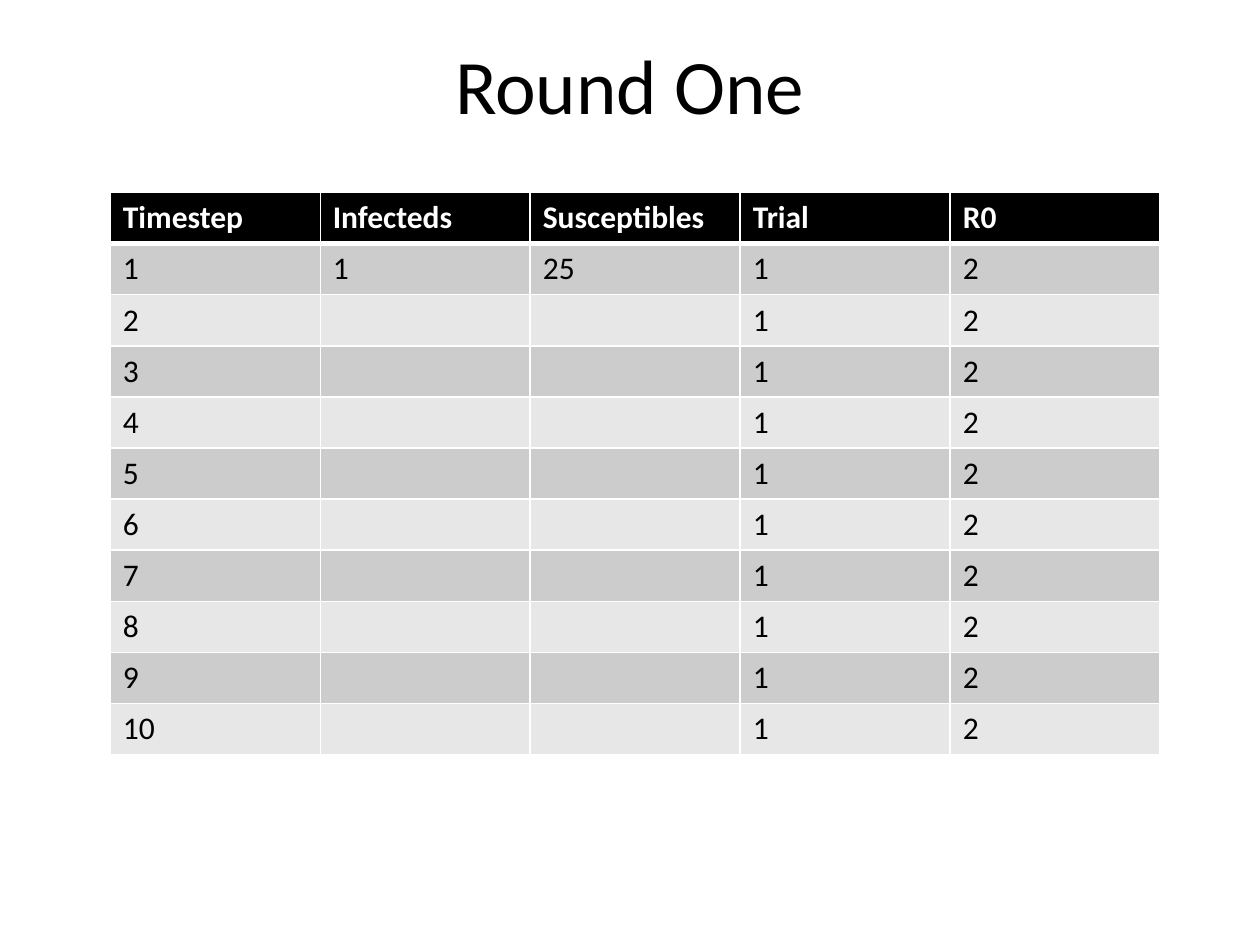
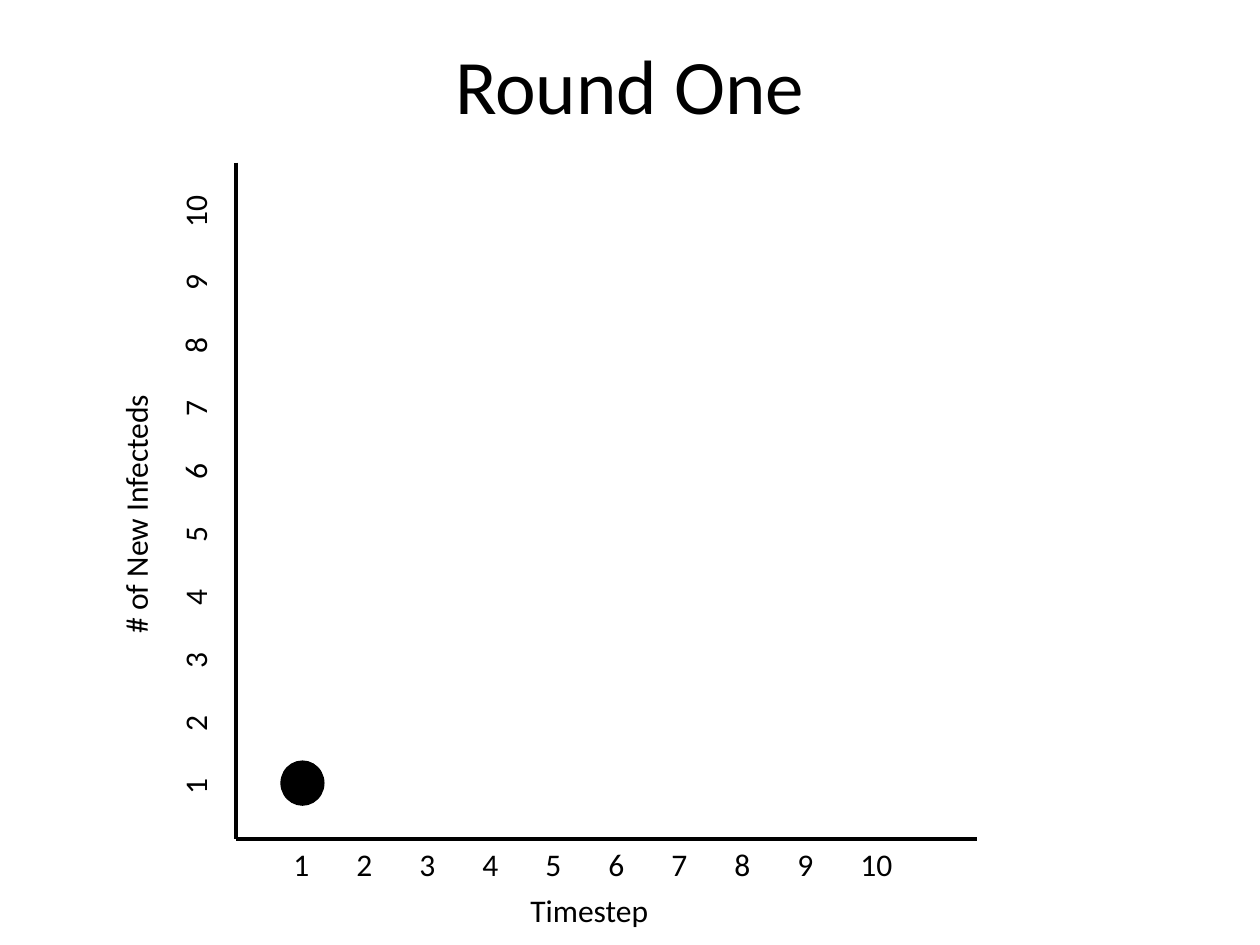
"""Build the Round One slides: a blank results table and a plot of new infections."""
from lxml.etree import SubElement
from pptx import Presentation
from pptx.dml.color import RGBColor
from pptx.enum.shapes import MSO_CONNECTOR as Connector, MSO_SHAPE as Shape
from pptx.enum.text import MSO_ANCHOR as Anchor, PP_ALIGN as Align
from pptx.oxml.ns import qn
from pptx.util import Pt

BLACK = RGBColor(0x00, 0x00, 0x00)
WHITE = RGBColor(0xFF, 0xFF, 0xFF)
BANDS = RGBColor(0xCC, 0xCC, 0xCC), RGBColor(0xE7, 0xE7, 0xE7)
BODY = {"name": "Calibri", "size": Pt(18), "bold": False}
HEADER = {**BODY, "bold": True}
TITLE = {**BODY, "size": Pt(44)}
TAB_STEP = 36


class Deck:
    def __init__(self):
        self.presentation = Presentation()
        self.presentation.slide_width = Pt(720)
        self.presentation.slide_height = Pt(540)
        self.slide = None

    def add_slide(self, title):
        self.slide = self.presentation.slides.add_slide(self.presentation.slide_layouts[6])
        frame = self.text(title, 36, 3, 648, 90, TITLE)
        frame.vertical_anchor = Anchor.MIDDLE
        frame.paragraphs[0].alignment = Align.CENTER

    def style(self, paragraph, look, color=BLACK):
        for run in paragraph.runs:
            for key, value in look.items():
                setattr(run.font, key, value)
            run.font.color.rgb = color

    def text(self, words, left, top, width, height, look=BODY, rotation=0):
        box = self.slide.shapes.add_textbox(Pt(left), Pt(top), Pt(width), Pt(height))
        box.rotation = rotation
        frame = box.text_frame
        frame.word_wrap = True
        frame.text = words
        self.style(frame.paragraphs[0], look)
        return frame

    def scale(self, count, left, top, width, height, rotation=0):
        numbers = "\t".join(str(n) for n in range(1, count + 1))
        frame = self.text(numbers, left, top, width, height, rotation=rotation)
        tabs = SubElement(frame.paragraphs[0]._p.get_or_add_pPr(), qn("a:tabLst"))
        for stop in range(1, count):
            SubElement(tabs, qn("a:tab"), pos=str(int(Pt(TAB_STEP * stop))), algn="l")

    def axis(self, x1, y1, x2, y2):
        line = self.slide.shapes.add_connector(
            Connector.STRAIGHT, Pt(x1), Pt(y1), Pt(x2), Pt(y2))
        line.line.color.rgb = BLACK
        line.line.width = Pt(2)
        SubElement(line._element.spPr, qn("a:effectLst"))

    def dot(self, left, top, width, height):
        dot = self.slide.shapes.add_shape(
            Shape.OVAL, Pt(left), Pt(top), Pt(width), Pt(height))
        dot.shadow.inherit = False
        dot.fill.solid()
        dot.fill.fore_color.rgb = BLACK
        dot.line.color.rgb = BLACK
        dot.line.width = Pt(0.75)

    def borders(self, cell, top, bottom):
        properties = cell._tc.get_or_add_tcPr()
        for side, width in {"L": 1, "R": 1, "T": top, "B": bottom}.items():
            line = SubElement(properties, qn(f"a:ln{side}"), w=str(int(Pt(width))))
            fill = SubElement(line, qn("a:solidFill"))
            SubElement(fill, qn("a:srgbClr"), val=str(WHITE))

    def table(self, rows, left, top, column_width, row_height):
        columns = len(rows[0])
        table = self.slide.shapes.add_table(
            len(rows), columns, Pt(left), Pt(top),
            Pt(column_width * columns), Pt(row_height * len(rows))).table
        for column in table.columns:
            column.width = Pt(column_width)
        for r, row in enumerate(rows):
            table.rows[r].height = Pt(row_height)
            look, color, fill = (BODY, BLACK, BANDS[(r - 1) % 2]) if r else (HEADER, WHITE, BLACK)
            for c, words in enumerate(row):
                cell = table.cell(r, c)
                cell.text = words
                self.style(cell.text_frame.paragraphs[0], look, color)
                self.borders(cell, top=3 if r == 1 else 1, bottom=1 if r else 3)
                cell.fill.solid()
                cell.fill.fore_color.rgb = fill


deck = Deck()

deck.add_slide("Round One")
header = ["Timestep", "Infecteds", "Susceptibles", "Trial", "R0"]
first_step = ["1", "1", "25", "1", "2"]
later_steps = [[str(step), "", "", "1", "2"] for step in range(2, 11)]
deck.table([header, first_step, *later_steps], 63, 110, 120, 29.2)

deck.add_slide("Round One")
origin_x, origin_y = 134.8, 479.5
deck.axis(origin_x, 93, origin_x, origin_y)
deck.text("# of New Infecteds", 0.7, 270.7, 160.6, 36, rotation=270)
deck.axis(558, origin_y, origin_x, origin_y)
deck.text("Timestep", 296, 505.4, 129, 36)
deck.scale(10, 160.6, 479.5, 434, 36)
deck.scale(10, -102.2, 226, 434, 36, rotation=270)
deck.dot(160.6, 434.9, 24.5, 25.2)

deck.presentation.save("out.pptx")
